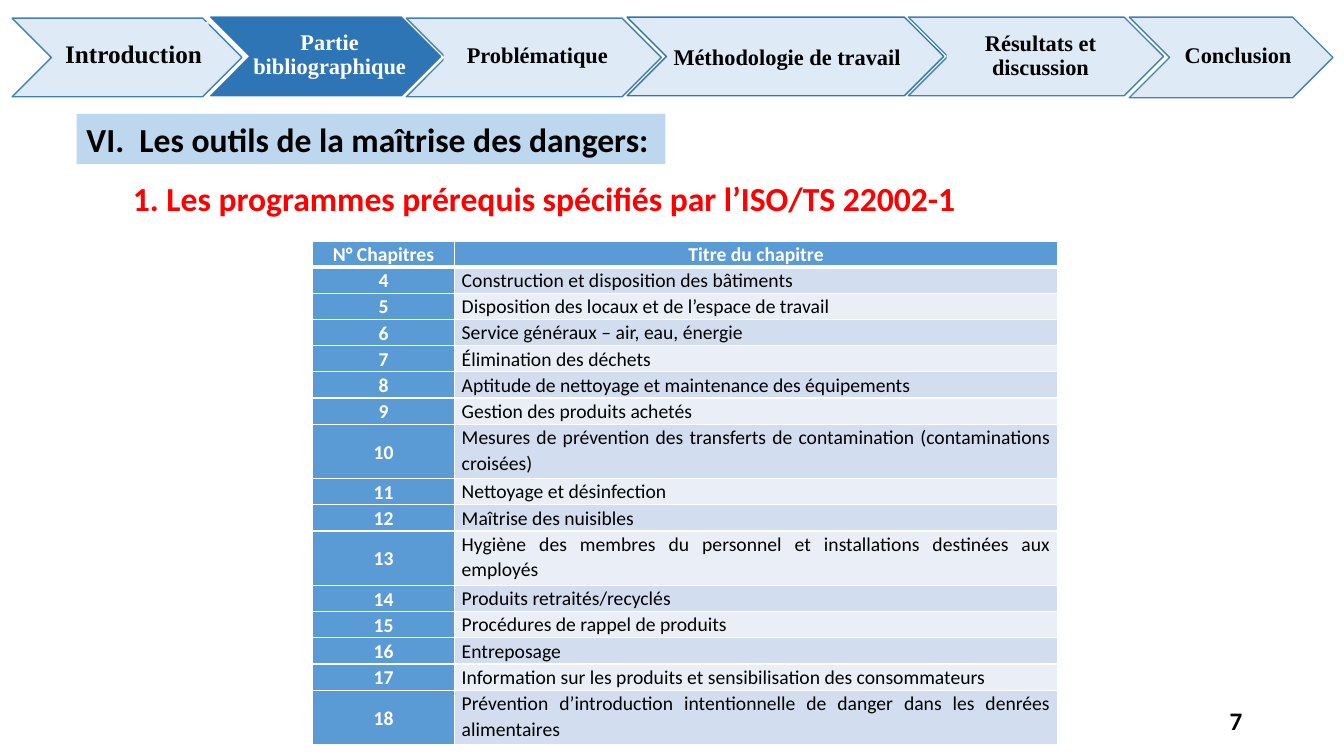
"""Build the slide on the ISO/TS 22002-1 prerequisite programmes."""
from dataclasses import dataclass
from typing import Any, NamedTuple, Optional

from lxml.etree import SubElement
from pptx import Presentation
from pptx.dml.color import RGBColor as RGB
from pptx.enum.shapes import MSO_SHAPE as Shape
from pptx.enum.text import MSO_ANCHOR as Anchor, MSO_AUTO_SIZE as AutoSize, PP_ALIGN as Align
from pptx.oxml.ns import qn
from pptx.util import Inches, Pt


@dataclass(frozen=True)
class Theme:
    body: str = "Calibri"
    serif: str = "Times New Roman"
    black: str = "000000"
    white: str = "FFFFFF"
    red: str = "FF0000"
    step: str = "DEEBF7"
    active: str = "2E75B6"
    banner: str = "BDD7EE"
    header: str = "5B9BD5"
    bands: tuple[str, str] = ("D2DEEF", "EAEFF7")
    title_size: int = 24
    number_size: int = 18
    step_size: int = 16
    table_size: int = 14


class Box(NamedTuple):
    left: float
    top: float
    width: float
    height: float

    def emu(self) -> list[int]:
        return [Inches(v) for v in self]


class Step(NamedTuple):
    label: str
    chevron: Box
    text: Box
    size: int
    active: bool = False
    align: Align = Align.CENTER
    line_alpha: int = 90


class Chapter(NamedTuple):
    number: str
    title: str
    height: float = 0.26


class Heading(NamedTuple):
    text: str
    box: Box
    color: str
    fill: Optional[str] = None


T = Theme()

STEPS = [
    Step("Partie bibliographique", Box(2.09, 0.17, 2.28, 0.78), Box(2.48, 0.22, 1.56, 0.65), T.step_size, True),
    Step("Problématique", Box(4.03, 0.18, 2.53, 0.78), Box(4.4, 0.26, 1.84, 0.6), T.step_size),
    Step("Méthodologie de travail", Box(6.22, 0.17, 3.14, 0.78), Box(6.66, 0.31, 2.31, 0.53), T.step_size,
         align=Align.LEFT, line_alpha=100),
    Step("Résultats et discussion", Box(9.01, 0.17, 2.53, 0.78), Box(9.39, 0.26, 1.84, 0.6), T.step_size),
    Step("Conclusion", Box(11.2, 0.17, 2.02, 0.8), Box(11.62, 0.27, 1.3, 0.58), T.step_size),
    Step("Introduction", Box(0.12, 0.18, 2.28, 0.78), Box(0.56, 0.22, 1.51, 0.65), T.number_size),
]

HEADINGS = [
    Heading("VI.  Les outils de la maîtrise des dangers:", Box(0.76, 1.13, 5.84, 0.5), T.black, T.banner),
    Heading("1. Les programmes prérequis spécifiés par l’ISO/TS 22002-1", Box(1.22, 1.72, 8.44, 0.5), T.red),
]

CHAPTERS = [
    Chapter("N° Chapitres", "Titre du chapitre"),
    Chapter("4", "Construction et disposition des bâtiments"),
    Chapter("5", "Disposition des locaux et de l’espace de travail"),
    Chapter("6", "Service généraux – air, eau, énergie"),
    Chapter("7", "Élimination des déchets"),
    Chapter("8", "Aptitude de nettoyage et maintenance des équipements"),
    Chapter("9", "Gestion des produits achetés"),
    Chapter("10", "Mesures de prévention des transferts de contamination (contaminations croisées)", 0.54),
    Chapter("11", "Nettoyage et désinfection"),
    Chapter("12", "Maîtrise des nuisibles"),
    Chapter("13", "Hygiène des membres du personnel et installations destinées aux employés", 0.54),
    Chapter("14", "Produits retraités/recyclés"),
    Chapter("15", "Procédures de rappel de produits"),
    Chapter("16", "Entreposage"),
    Chapter("17", "Information sur les produits et sensibilisation des consommateurs"),
    Chapter("18", "Prévention d’introduction intentionnelle de danger dans les denrées alimentaires", 0.54),
]
TABLE = Box(3.1, 2.39, 7.39, 5.01)
COLUMNS = (1.41, 5.98)


def write(tf: Any, text: str, font: str, size: int, color: str, align: Align = Align.LEFT,
          bold: bool = True, spacing: float = 1.0) -> None:
    """Fill a text frame with one formatted paragraph."""
    tf.text = text
    p = tf.paragraphs[0]
    p.alignment, p.line_spacing = align, spacing
    r = p.runs[0]
    r.font.name, r.font.size, r.font.bold = font, Pt(size), bold
    r.font.color.rgb = RGB.from_string(color)


def paint(target: Any, color: str) -> None:
    """Give a shape or a cell a solid fill."""
    target.fill.solid()
    target.fill.fore_color.rgb = RGB.from_string(color)


def add_step(s: Any, step: Step) -> None:
    """Draw one chevron of the progress bar with its label."""
    fill = T.active if step.active else T.step
    chevron = s.shapes.add_shape(Shape.CHEVRON, *step.chevron.emu())
    label = s.shapes.add_shape(Shape.RECTANGLE, *step.text.emu())
    for sp in (chevron, label):
        sp.shadow.inherit = False
        paint(sp, fill)
    chevron.line.color.rgb = RGB.from_string(T.active)
    chevron.line.width = Pt(1)
    color = chevron.line.fill._xPr.find(f"{qn('a:solidFill')}/{qn('a:srgbClr')}")
    SubElement(color, qn("a:alpha"), val=str(step.line_alpha * 1000))
    label.line.fill.background()
    tf = label.text_frame
    tf.word_wrap, tf.vertical_anchor = True, Anchor.MIDDLE
    tf.margin_left, tf.margin_right = Inches(0.02), 0
    tf.margin_top = tf.margin_bottom = Inches(0.01)
    write(tf, step.label, T.serif, step.size, T.white if step.active else T.black, step.align, spacing=0.9)


def add_heading(s: Any, heading: Heading) -> None:
    """Draw a one-line heading."""
    sp = s.shapes.add_textbox(*heading.box.emu())
    if heading.fill:
        paint(sp, heading.fill)
    tf = sp.text_frame
    tf.word_wrap, tf.auto_size = False, AutoSize.SHAPE_TO_FIT_TEXT
    write(tf, heading.text, T.body, T.title_size, heading.color)


def add_borders(cell: Any, bottom: int) -> None:
    """Draw white borders round a cell."""
    tc_pr = cell._tc.get_or_add_tcPr()
    for side, width in (("L", 1), ("R", 1), ("T", 1), ("B", bottom)):
        ln = SubElement(tc_pr, qn(f"a:ln{side}"), w=str(Pt(width)))
        SubElement(SubElement(ln, qn("a:solidFill")), qn("a:srgbClr"), val=T.white)


def add_chapters(s: Any) -> None:
    """Draw the table of chapters."""
    table = s.shapes.add_table(len(CHAPTERS), len(COLUMNS), *TABLE.emu()).table
    for column, width in zip(table.columns, COLUMNS):
        column.width = Inches(width)
    for i, chapter in enumerate(CHAPTERS):
        table.rows[i].height = Inches(chapter.height)
        for j, text in enumerate((chapter.number, chapter.title)):
            cell = table.cell(i, j)
            strong = i == 0 or j == 0
            add_borders(cell, 3 if i == 0 else 1)
            paint(cell, T.header if strong else T.bands[(i - 1) % 2])
            cell.margin_left = cell.margin_right = Inches(0.07)
            cell.margin_top = cell.margin_bottom = 0
            cell.vertical_anchor = Anchor.MIDDLE if j == 0 else Anchor.TOP
            write(cell.text_frame, text, T.body, T.table_size, T.white if strong else T.black,
                  Align.CENTER if strong else Align.JUSTIFY, strong, 1.07)
            cell.text_frame.paragraphs[0].space_after = Pt(8)


def add_page_number(s: Any, number: str) -> None:
    """Write the page number at the bottom right."""
    tf = s.shapes.add_textbox(*Box(9.42, 6.95, 3, 0.4).emu()).text_frame
    tf.word_wrap, tf.vertical_anchor = True, Anchor.MIDDLE
    write(tf, number, T.body, T.number_size, T.black, Align.RIGHT)


def main() -> None:
    """Build and save the presentation."""
    prs = Presentation()
    prs.slide_width, prs.slide_height = Inches(13.33), Inches(7.5)
    s = prs.slides.add_slide(prs.slide_layouts[6])
    for step in STEPS:
        add_step(s, step)
    add_page_number(s, "7")
    for heading in HEADINGS:
        add_heading(s, heading)
    add_chapters(s)
    prs.save("out.pptx")


if __name__ == "__main__":
    main()
